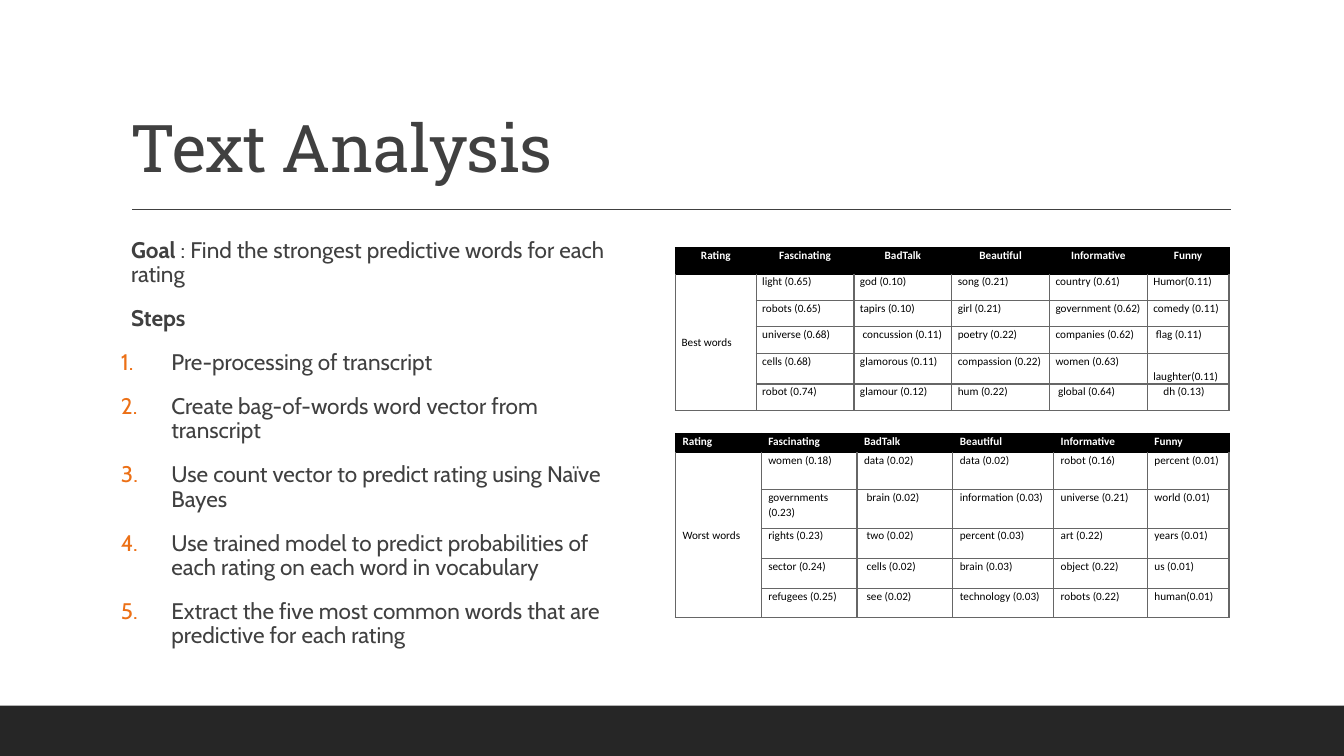
from lxml import etree
from pptx import Presentation
from pptx.dml.color import RGBColor
from pptx.enum.shapes import MSO_CONNECTOR, MSO_SHAPE
from pptx.enum.text import MSO_ANCHOR, PP_ALIGN
from pptx.oxml.ns import qn
from pptx.util import Inches, Pt

LEFT, CENTER = PP_ALIGN.LEFT, PP_ALIGN.CENTER
TOP, MIDDLE, BOTTOM = MSO_ANCHOR.TOP, MSO_ANCHOR.MIDDLE, MSO_ANCHOR.BOTTOM
W, H = 13.33, 7.5
DARK, INK, ACCENT, GRID, BLACK, WHITE = (
    "262626", "404040", "EC7016", "666666", "000000", "FFFFFF")

STEPS = [
    "Pre-processing of transcript",
    "Create bag-of-words word vector from transcript",
    "Use count vector to predict rating using Naïve Bayes",
    "Use trained model to predict probabilities of each rating on each word in vocabulary",
    "Extract the five most common words that are predictive for each rating",
]
RATINGS = ["Rating", "Fascinating", "BadTalk", "Beautiful", "Informative", "Funny"]
BEST = [
    ["light (0.65)", "god (0.10)", "song (0.21)", "country (0.61)", "Humor(0.11)"],
    ["robots (0.65)", "tapirs (0.10)", "girl (0.21)", "government (0.62)", "comedy (0.11)"],
    ["universe (0.68)", " concussion (0.11)", "poetry (0.22)", "companies (0.62)", " flag (0.11)"],
    ["cells (0.68)", "glamorous (0.11)", "compassion (0.22)", "women (0.63)", "laughter(0.11)"],
    ["robot (0.74)", "glamour (0.12)", "hum (0.22)", " global (0.64)", "dh (0.13)"],
]
WORST = [
    ["women (0.18)", "data (0.02)", "data (0.02)", "robot (0.16)", "percent (0.01)"],
    ["governments (0.23)", " brain (0.02)", "information (0.03)", "universe (0.21)", "world (0.01)"],
    ["rights (0.23)", " two (0.02)", "percent (0.03)", "art (0.22)", "years (0.01)"],
    ["sector (0.24)", " cells (0.02)", "brain (0.03)", "object (0.22)", "us (0.01)"],
    ["refugees (0.25)", " see (0.02)", "technology (0.03)", "robots (0.22)", "human(0.01)"],
]


def rgb(color):
    return RGBColor.from_string(color)


def add_run(p, text, size=16.1, font="Cabin", color=INK, bold=False, spacing=None):
    r = p.add_run()
    r.text = text
    r.font.size, r.font.name, r.font.bold = Pt(size), font, bold
    r.font.color.rgb = rgb(color)
    if spacing is not None:
        r.font._element.set("spc", str(round(spacing * 100)))
    return r


def set_indent(p, left, first=0):
    pPr = p._p.get_or_add_pPr()
    pPr.set("marL", str(Inches(left)))
    pPr.set("indent", str(Inches(first)))
    return pPr


def add_textbox(slide, box, anchor=TOP, side=0.1):
    tf = slide.shapes.add_textbox(*map(Inches, box)).text_frame
    tf.word_wrap = True
    tf.vertical_anchor = anchor
    tf.margin_left = tf.margin_right = Inches(side)
    return tf


def add_frame(slide, footer_h=0.5, rule=(1.31, 12.21), rule_y=2.08):
    """Footer band and the rule below the title."""
    sp = slide.shapes.add_shape(MSO_SHAPE.RECTANGLE, 0, Inches(H - footer_h),
                                Inches(W), Inches(footer_h))
    sp.shadow.inherit = False
    sp.fill.solid()
    sp.fill.fore_color.rgb = rgb(DARK)
    sp.line.fill.background()
    line = slide.shapes.add_connector(MSO_CONNECTOR.STRAIGHT, Inches(rule[0]), Inches(rule_y),
                                      Inches(rule[1]), Inches(rule_y))
    line.line.color.rgb = rgb(INK)
    line.line.width = Pt(1)
    etree.SubElement(line._element.spPr, qn("a:effectLst"))


def add_title(slide, box, text):
    p = add_textbox(slide, box, BOTTOM).paragraphs[0]
    p.line_spacing = 0.9
    add_run(p, text, size=47, font="Roboto Slab", spacing=-0.5)


def add_steps(slide, box):
    """Goal, heading and numbered steps."""
    tf = add_textbox(slide, box, side=0)
    items = [([("Goal ", True), (": Find the strongest predictive words for each rating", False)], False),
             ([("Steps", True)], False)]
    items += [([(step, False)], True) for step in STEPS]
    for i, (runs, numbered) in enumerate(items):
        p = tf.add_paragraph() if i else tf.paragraphs[0]
        p.line_spacing, p.space_before, p.space_after = 0.9, Pt(12), Pt(2)
        if numbered:
            pPr = set_indent(p, 0.5, -0.5)
            clr = etree.SubElement(pPr, qn("a:buClr"))
            etree.SubElement(clr, qn("a:srgbClr"), val=ACCENT)
            etree.SubElement(pPr, qn("a:buFont"), typeface="Cabin")
            etree.SubElement(pPr, qn("a:buAutoNum"), type="arabicPeriod")
        else:
            set_indent(p, 0.1)
        for text, bold in runs:
            add_run(p, text, bold=bold)


def set_borders(cell, color, top):
    tcPr = cell._tc.get_or_add_tcPr()
    for i, side in enumerate(("lnL", "lnR", "lnT", "lnB")):
        ln = etree.Element(qn("a:" + side), w=str(Pt(1)))
        fill = etree.SubElement(ln, qn("a:solidFill"))
        etree.SubElement(fill, qn("a:srgbClr"), val=top if side == "lnT" else color)
        tcPr.insert(i, ln)


def fill_cell(cell, text, header=False, below_header=False, align=LEFT,
              anchor=TOP, side=0.06, indent=0):
    cell.margin_left = cell.margin_right = Inches(side)
    cell.margin_top = cell.margin_bottom = 0
    cell.vertical_anchor = anchor
    cell.fill.solid()
    cell.fill.fore_color.rgb = rgb(BLACK if header else WHITE)
    set_borders(cell, BLACK if header else GRID, BLACK if header or below_header else GRID)
    p = cell.text_frame.paragraphs[0]
    p.alignment, p.line_spacing = align, 1.07
    p.space_after = Pt(0 if anchor == BOTTOM else 8)
    if indent:
        set_indent(p, indent)
    add_run(p, text, size=8, font="Calibri", color=WHITE if header else BLACK, bold=header)


def add_word_table(slide, box, label, words, cols, rows, header_align, side, special=None):
    """One header row, a merged label column and the words per rating."""
    tbl = slide.shapes.add_table(len(rows), len(cols), *map(Inches, box)).table
    tbl.first_row = tbl.horz_banding = False
    for column, width in zip(tbl.columns, cols):
        column.width = Inches(width)
    for row, height in zip(tbl.rows, rows):
        row.height = Inches(height)
    tbl.cell(1, 0).merge(tbl.cell(len(rows) - 1, 0))
    for c, rating in enumerate(RATINGS):
        fill_cell(tbl.cell(0, c), rating, header=True, align=header_align, side=side)
    for i, row_words in enumerate(words, 1):
        fill_cell(tbl.cell(i, 0), label if i == 1 else "", below_header=i == 1,
                  anchor=MIDDLE, side=side)
        for c, word in enumerate(row_words, 1):
            fill_cell(tbl.cell(i, c), word, below_header=i == 1, side=side,
                      **(special or {}).get(word, {}))


def main():
    prs = Presentation()
    prs.slide_width, prs.slide_height = Inches(W), Inches(H)
    slide = prs.slides.add_slide(prs.slide_layouts[6])
    add_frame(slide)
    add_title(slide, (1.2, 0.31, 11, 1.59), "Text Analysis")
    add_steps(slide, (1.2, 2.32, 5.07, 4.1))
    add_word_table(slide, (6.7, 4.3, 5.5, 1.83), "Worst words", WORST,
                   [0.85, 0.95, 0.95, 1, 0.93, 0.81],
                   [0.19, 0.37, 0.38, 0.3, 0.3, 0.29], LEFT, 0.07)
    add_word_table(slide, (6.7, 2.46, 5.5, 1.62), "Best words", BEST,
                   [0.8] + [0.97] * 4 + [0.81],
                   [0.26, 0.26, 0.26, 0.27, 0.3, 0.26], CENTER, 0.06,
                   special={"laughter(0.11)": {"anchor": BOTTOM},
                            "dh (0.13)": {"indent": 0.1}})
    prs.save("out.pptx")


if __name__ == "__main__":
    main()
